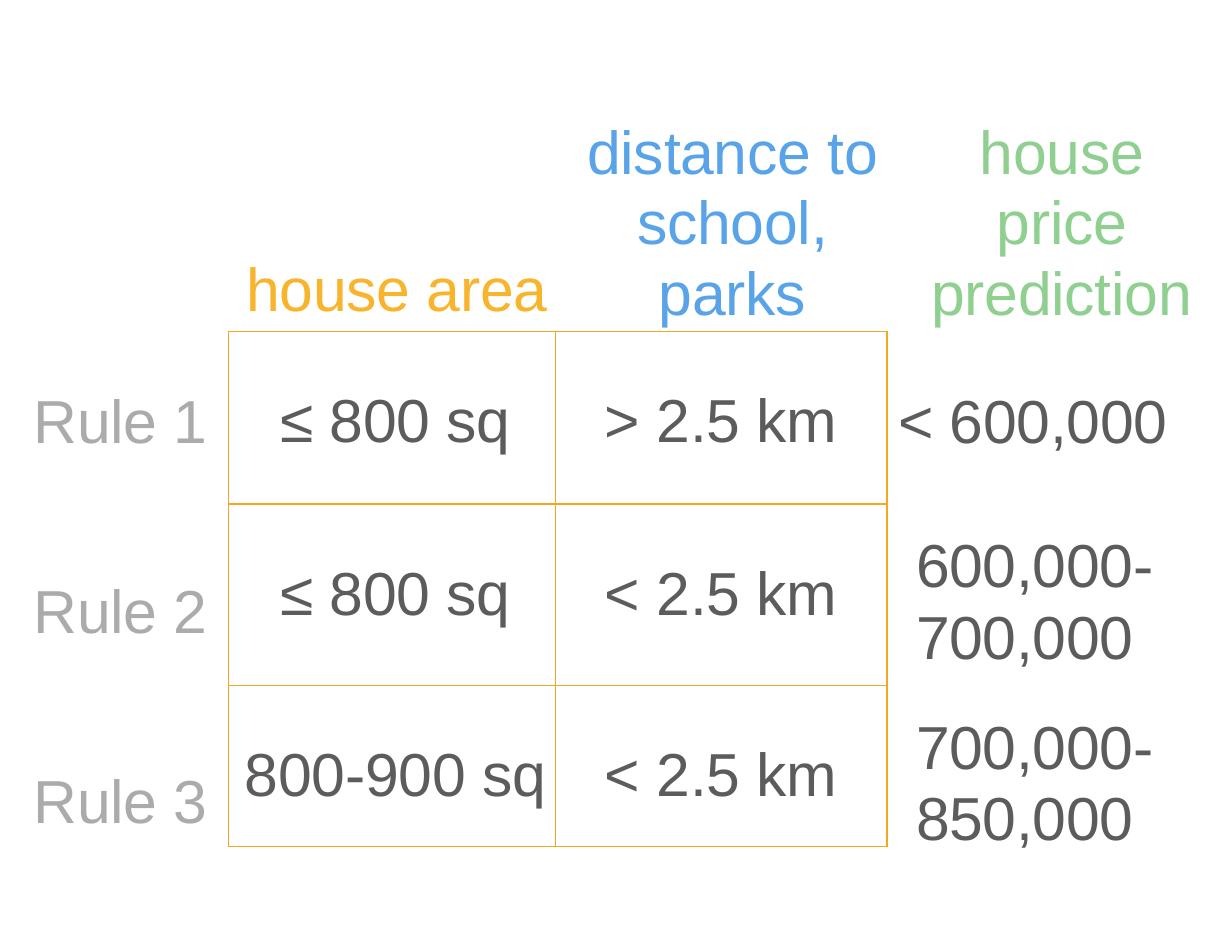
"""Build a slide with a table of house price rules."""
from lxml.etree import SubElement
from pptx import Presentation
from pptx.dml.color import RGBColor
from pptx.enum.text import MSO_ANCHOR as Anchor, MSO_AUTO_SIZE as AutoSize, PP_ALIGN as Align
from pptx.oxml.ns import qn
from pptx.util import Inches, Pt

GRAY, DARK, ORANGE, BORDER = "ABABAB", "5C5C5C", "F9B42D", "F5A623"
BLUE, GREEN = "59A3E8", "8FD091"


def write(para, text, color, align=Align.LEFT, before=0, line=None, indent=0):
    para.alignment = align
    para.space_before = Pt(before)
    if line:
        para.line_spacing = Pt(line)
    if indent:
        para._p.get_or_add_pPr().set("marL", str(Inches(indent)))
    span = para.add_run()
    span.text = text
    span.font.name = "Arial"
    span.font.size = Pt(19.5)
    span.font.color.rgb = RGBColor.from_string(color)
    span._r.get_or_add_rPr().set("spc", "-10")


def prepare(box, left, top, width, height):
    box.left, box.top = Inches(left), Inches(top)
    box.width, box.height = Inches(width), Inches(height)
    frame = box.text_frame
    frame.word_wrap = True
    frame.auto_size = AutoSize.NONE
    frame.vertical_anchor = Anchor.TOP
    frame.margin_left = frame.margin_top = frame.margin_right = frame.margin_bottom = 0
    return frame


deck = Presentation()
deck.slide_width, deck.slide_height = Inches(5.5), Inches(4.25)
page = deck.slides.add_slide(deck.slide_layouts[5])

conditions = [
    ("≤ 800 sq", "> 2.5 km"),
    ("≤ 800 sq", "< 2.5 km"),
    ("800-900 sq", "< 2.5 km"),
]
table = page.shapes.add_table(3, 2, Inches(1.02), Inches(1.48), Inches(2.94), Inches(2.3)).table
table.first_row = table.horz_banding = False
for column, width in zip(table.columns, (1.46, 1.48)):
    column.width = Inches(width)
for row, height, texts in zip(table.rows, (0.77, 0.81, 0.72), conditions):
    row.height = Inches(height)
    for cell, text, left in zip(row.cells, texts, (0.03, 0)):
        cell.margin_left, cell.margin_top = Inches(left), Inches(0.25)
        cell.margin_right = cell.margin_bottom = 0
        properties = cell._tc.get_or_add_tcPr()
        for side in ("a:lnL", "a:lnR", "a:lnT", "a:lnB"):
            edge = SubElement(properties, qn(side), w=str(Pt(0.5)))
            SubElement(SubElement(edge, qn("a:solidFill")), qn("a:srgbClr"), val=BORDER)
        cell.fill.background()
        write(cell.text_frame.paragraphs[0], text, DARK, Align.CENTER)

rules = [("Rule 1", 0), ("Rule 2", 37.7), ("Rule 3", 37.7)]
prices = [
    ("< 600,000", 0, None, 0),
    ("600,000-", 23.3, 23, 0.08),
    ("700,000", 0, 23, 0.08),
    ("700,000-", 12.3, 23, 0.08),
    ("850,000", 0, 23, 0.08),
]

rule_frame = prepare(page.shapes.add_textbox(0, 0, 0, 0), 0.15, 1.71, 0.81, 1.97)
for number, (text, before) in enumerate(rules):
    para = rule_frame.add_paragraph() if number else rule_frame.paragraphs[0]
    write(para, text, GRAY, before=before)

price_frame = prepare(page.shapes.add_textbox(0, 0, 0, 0), 4.01, 1.71, 1.3, 2.11)
for number, (text, before, line, indent) in enumerate(prices):
    para = price_frame.add_paragraph() if number else price_frame.paragraphs[0]
    write(para, text, DARK, before=before, line=line, indent=indent)

area_frame = prepare(page.shapes.add_textbox(0, 0, 0, 0), 1.1, 1.12, 1.4, 0.35)
write(area_frame.paragraphs[0], "house area", ORANGE)

headings = [
    (page.shapes.title, 2.6, 1.34, "distance to school, parks", BLUE),
    (page.shapes.add_textbox(0, 0, 0, 0), 4.14, 1.2, "house price prediction", GREEN),
]
for box, left, width, text, color in headings:
    frame = prepare(box, left, 0.52, width, 0.95)
    write(frame.paragraphs[0], text, color, Align.CENTER, line=22.6)

deck.save("out.pptx")
